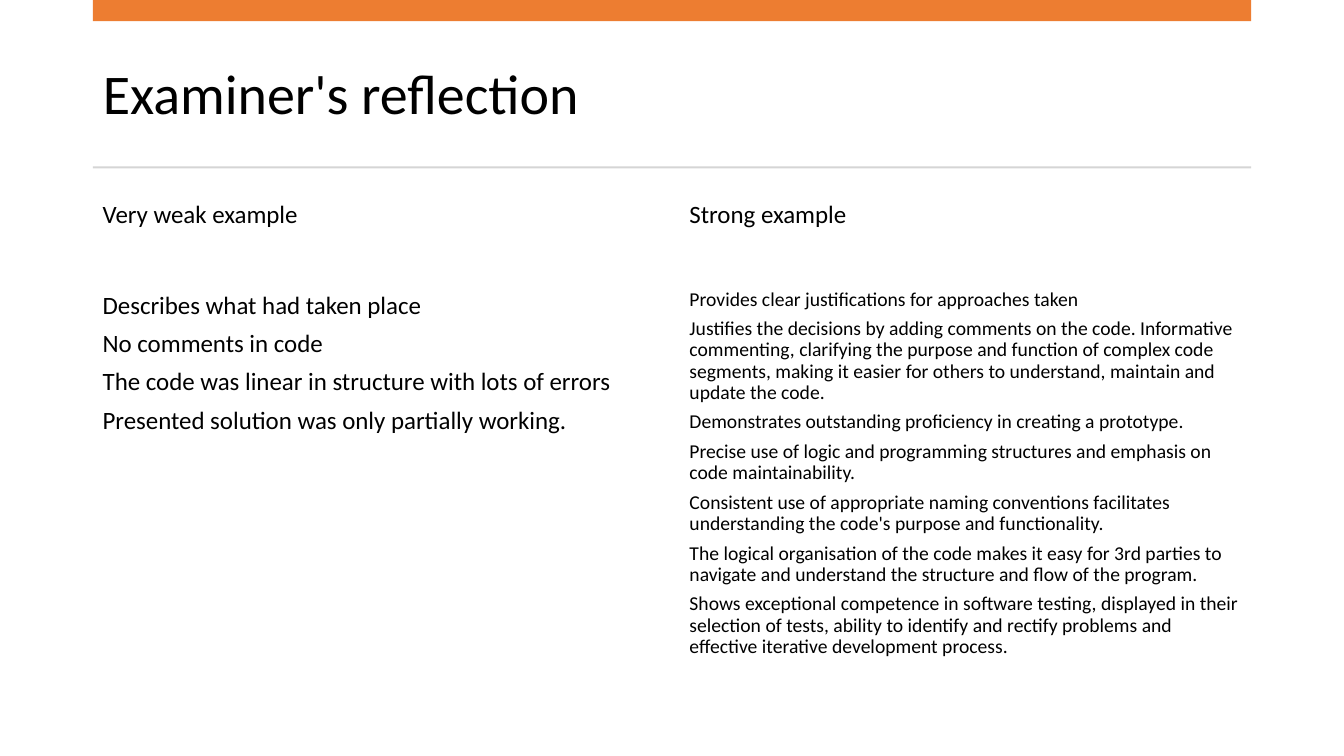
"""Build the slide that compares a weak and a strong example."""
from dataclasses import dataclass

from pptx import Presentation
from pptx.dml.color import RGBColor
from pptx.enum.shapes import MSO_SHAPE
from pptx.enum.text import MSO_ANCHOR, PP_ALIGN
from pptx.util import Inches, Pt

RECT = MSO_SHAPE.RECTANGLE
TOP = MSO_ANCHOR.TOP
MIDDLE = MSO_ANCHOR.MIDDLE
LEFT = PP_ALIGN.LEFT
TITLE_ONLY = 5


@dataclass(frozen=True)
class Theme:
    font: str = "Calibri"
    ink: RGBColor = RGBColor(0x00, 0x00, 0x00)
    accent: RGBColor = RGBColor(0xED, 0x7D, 0x31)
    rule: RGBColor = RGBColor(0xD5, 0xD5, 0xD5)
    title: float = 40
    body: float = 17.8
    small: float = 14


THEME = Theme()
MARGIN = 0.92
WIDTH = 11.49
HEAD_TOP, HEAD_HIGH = 1.92, 0.9
LIST_TOP, LIST_HIGH = HEAD_TOP + HEAD_HIGH, 4.03

WEAK = [
    "Describes what had taken place",
    "No comments in code",
    "The code was linear in structure with lots of errors",
    "Presented solution was only partially working.",
]
STRONG = [
    "Provides clear justifications for approaches taken",
    "Justifies the decisions by adding comments on the code. Informative "
    "commenting, clarifying the purpose and function of complex code segments, "
    "making it easier for others to understand, maintain and update the code.",
    "Demonstrates outstanding proficiency in creating a prototype.",
    "Precise use of logic and programming structures and emphasis on code "
    "maintainability.",
    "Consistent use of appropriate naming conventions facilitates "
    "understanding the code's purpose and functionality.",
    "The logical organisation of the code makes it easy for 3rd parties to "
    "navigate and understand the structure and flow of the program.",
    "Shows exceptional competence in software testing, displayed in their "
    "selection of tests, ability to identify and rectify problems and "
    "effective iterative development process.",
]
COLUMNS = [
    (MARGIN, 5.64, "Very weak example", WEAK, THEME.body, 1.0),
    (6.74, 5.66, "Strong example", STRONG, THEME.small, 0.9),
]


def style(frame, size, anchor, spacing, after):
    """Format every paragraph and run of a text frame."""
    frame.word_wrap = True
    frame.vertical_anchor = anchor
    for para in frame.paragraphs:
        para.alignment = LEFT
        para.line_spacing = spacing
        para.space_before = Pt(0)
        para.space_after = Pt(after)
        for run in para.runs:
            run.font.name = THEME.font
            run.font.size = Pt(size)
            run.font.color.rgb = THEME.ink


def set_title(slide, text):
    """Place and format the slide title."""
    title = slide.shapes.title
    title.left, title.top = Inches(MARGIN), Inches(0.37)
    title.width, title.height = Inches(WIDTH), Inches(1.18)
    title.text_frame.text = text
    style(title.text_frame, THEME.title, MIDDLE, 0.9, 0)


def add_bar(slide, top, height, color):
    """Add a plain bar across the content width."""
    bar = slide.shapes.add_shape(
        RECT, Inches(MARGIN), Inches(top), Inches(WIDTH), Inches(height))
    bar.shadow.inherit = False
    bar.fill.solid()
    bar.fill.fore_color.rgb = color
    bar.line.fill.background()


def add_text(slide, left, top, width, height, lines, size, spacing):
    """Add a text box with one paragraph per line."""
    box = slide.shapes.add_textbox(
        Inches(left), Inches(top), Inches(width), Inches(height))
    box.text_frame.text = "\n".join(lines)
    style(box.text_frame, size, TOP, spacing, 6)


def main():
    """Build and save the slide."""
    deck = Presentation()
    deck.slide_width, deck.slide_height = Inches(13.33), Inches(7.5)
    slide = deck.slides.add_slide(deck.slide_layouts[TITLE_ONLY])
    set_title(slide, "Examiner's reflection")
    add_bar(slide, 0, 0.21, THEME.accent)
    add_bar(slide, 1.65, 0.02, THEME.rule)
    for left, width, head, points, size, spacing in COLUMNS:
        add_text(slide, left, HEAD_TOP, width, HEAD_HIGH, [head], THEME.body, 1.0)
        add_text(slide, left, LIST_TOP, width, LIST_HIGH, points, size, spacing)
    deck.save("out.pptx")


if __name__ == "__main__":
    main()
